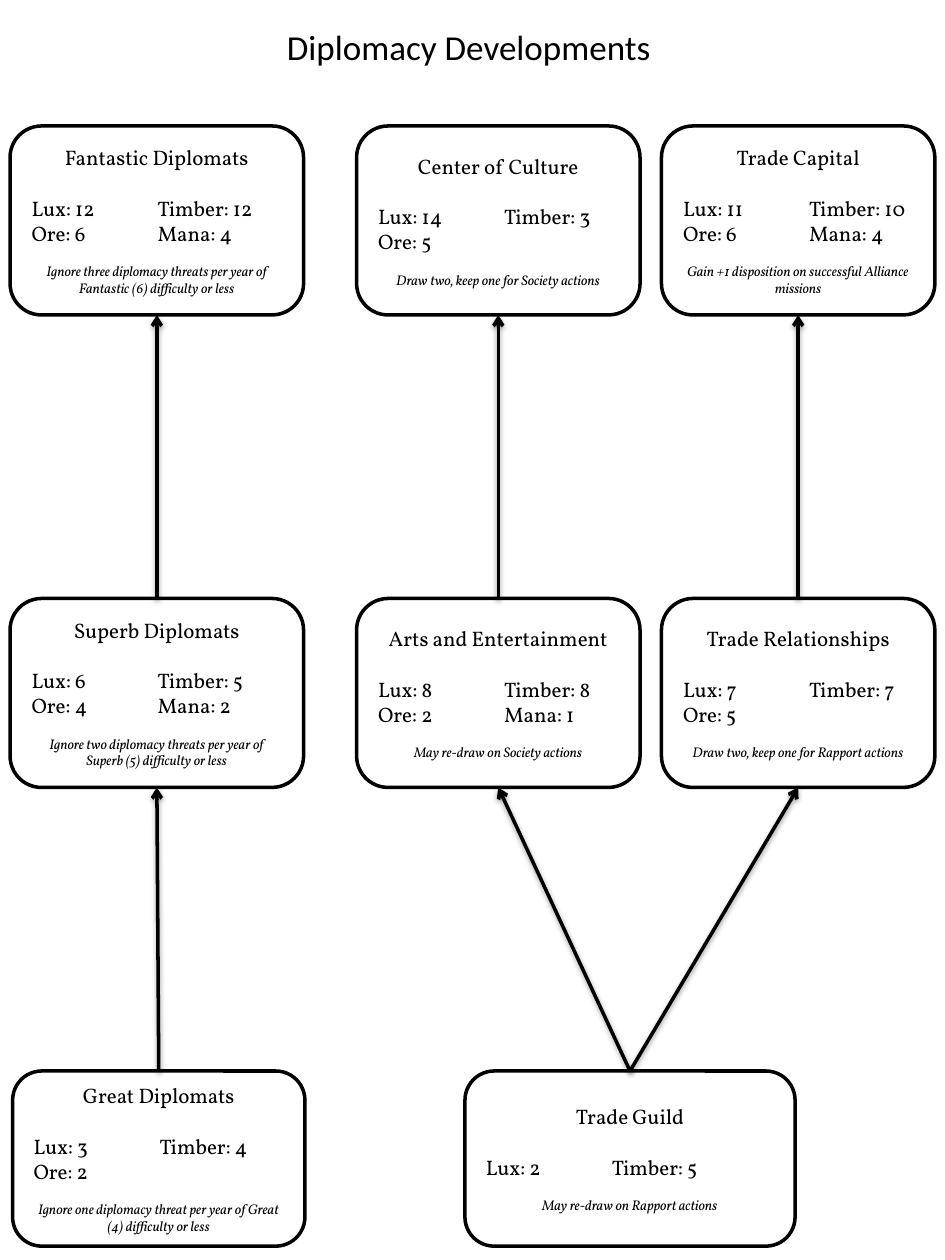
from dataclasses import dataclass

from lxml.etree import SubElement
from pptx import Presentation
from pptx.dml.color import RGBColor
from pptx.enum.shapes import MSO_CONNECTOR as Connector, MSO_SHAPE as Shape
from pptx.enum.text import MSO_ANCHOR as Anchor, MSO_AUTO_SIZE as AutoSize, PP_ALIGN as Align
from pptx.oxml.ns import qn
from pptx.util import Emu, Pt

EMU_PER_PX = 9144  # 100 px to the inch
COLORS = {"ink": "000000", "paper": "FFFFFF"}
TITLE_FONT, CARD_FONT = "Calibri", "Vollkorn"
TOP_SITE, BOTTOM_SITE = 0, 2
TOP_ROW, MIDDLE_ROW, BOTTOM_ROW = 100, 475, 850
TALL, SHORT = 150, 139


@dataclass(frozen=True)
class Development:
    name: str
    costs: tuple[str, ...]
    effect: str
    left: int
    top: int
    width: int
    height: int = TALL


DEVELOPMENTS = (
    Development("Fantastic Diplomats", ("Lux: 12\tTimber: 12", "Ore: 6\tMana: 4"),
                "Ignore three diplomacy threats per year of Fantastic (6) difficulty or less",
                8, TOP_ROW, 233),
    Development("Center of Culture", ("Lux: 14\tTimber: 3", "Ore: 5"),
                "Draw two, keep one for Society actions", 283, TOP_ROW, 225),
    Development("Trade Capital", ("Lux: 11\tTimber: 10", "Ore: 6\tMana: 4"),
                "Gain +1 disposition on successful Alliance missions", 525, TOP_ROW, 217),
    Development("Superb Diplomats", ("Lux: 6\tTimber: 5", "Ore: 4\tMana: 2"),
                "Ignore two diplomacy threats per year of Superb (5) difficulty or less",
                8, MIDDLE_ROW, 233),
    Development("Arts and Entertainment", ("Lux: 8\tTimber: 8", "Ore: 2\tMana: 1"),
                "May re-draw on Society actions", 283, MIDDLE_ROW, 225),
    Development("Trade Relationships", ("Lux: 7\tTimber: 7", "Ore: 5"),
                "Draw two, keep one for Rapport actions", 525, MIDDLE_ROW, 217),
    Development("Great Diplomats", ("Lux: 3\tTimber: 4", "Ore: 2"),
                "Ignore one diplomacy threat per year of Great (4) difficulty or less",
                10, BOTTOM_ROW, 232, SHORT),
    Development("Trade Guild", ("Lux: 2\tTimber: 5",),
                "May re-draw on Rapport actions", 369, BOTTOM_ROW, 262, SHORT),
)

UPGRADES = (
    ("Great Diplomats", "Superb Diplomats"),
    ("Superb Diplomats", "Fantastic Diplomats"),
    ("Trade Guild", "Arts and Entertainment"),
    ("Trade Guild", "Trade Relationships"),
    ("Arts and Entertainment", "Center of Culture"),
    ("Trade Relationships", "Trade Capital"),
)


def px(length: int) -> Emu:
    return Emu(length * EMU_PER_PX)


def color(name: str) -> RGBColor:
    return RGBColor.from_string(COLORS[name])


def add_span(para, text: str, font: str, size: int, italic: bool = False) -> None:
    span = para.add_run()
    span.text = text
    span.font.name = font
    span.font.size = Pt(size)
    span.font.italic = italic
    span.font.color.rgb = color("ink")


def add_tab_stop(para, position: int) -> None:
    tabs = SubElement(para._p.get_or_add_pPr(), qn("a:tabLst"))
    SubElement(tabs, qn("a:tab"), pos=str(px(position)), algn="l")


def draw_outline(line) -> None:
    line.color.rgb = color("ink")
    line.width = Pt(2)


def draw_title(page, text: str) -> None:
    title = page.shapes.title
    title.left, title.top, title.width, title.height = map(px, (11, 15, 722, 44))
    frame = title.text_frame
    frame.auto_size = AutoSize.NONE
    frame.vertical_anchor = Anchor.TOP
    para = frame.paragraphs[0]
    para.alignment = Align.CENTER
    add_span(para, text, TITLE_FONT, 20)


def draw_development(page, item: Development):
    box = page.shapes.add_shape(Shape.ROUNDED_RECTANGLE, px(item.left), px(item.top),
                                px(item.width), px(item.height))
    box.shadow.inherit = False
    box.fill.solid()
    box.fill.fore_color.rgb = color("paper")
    draw_outline(box.line)
    frame = box.text_frame
    frame.word_wrap = True
    frame.vertical_anchor = Anchor.MIDDLE

    heading = frame.paragraphs[0]
    heading.alignment = Align.CENTER
    add_span(heading, item.name, CARD_FONT, 12)
    for index, cost in enumerate(item.costs):
        para = frame.add_paragraph()
        add_tab_stop(para, 100)
        para.alignment = Align.LEFT
        para.space_before = Pt(0 if index else 14.5)
        add_span(para, cost, CARD_FONT, 12)
    effect = frame.add_paragraph()
    effect.alignment = Align.CENTER
    effect.space_before = Pt(9.7)
    add_span(effect, item.effect, CARD_FONT, 8, italic=True)
    return box


def add_soft_shadow(connector) -> None:
    effects = SubElement(connector._element.spPr, qn("a:effectLst"))
    shadow = SubElement(effects, qn("a:outerShdw"), blurRad=str(Pt(3.1)), dist=str(Pt(1.6)),
                        dir="5400000", rotWithShape="0")
    tint = SubElement(shadow, qn("a:srgbClr"), val=COLORS["ink"])
    SubElement(tint, qn("a:alpha"), val="38000")


def draw_upgrade(page, lower, upper) -> None:
    """Arrow from the top of the lower box to the bottom of the upper one."""
    arrow = page.shapes.add_connector(Connector.STRAIGHT, 0, 0, 0, 0)
    arrow.begin_connect(lower, TOP_SITE)
    arrow.end_connect(upper, BOTTOM_SITE)
    draw_outline(arrow.line)
    SubElement(arrow.line._get_or_add_ln(), qn("a:tailEnd"), type="arrow")
    add_soft_shadow(arrow)


def main() -> None:
    deck = Presentation()
    deck.slide_width, deck.slide_height = px(750), px(1000)
    page = deck.slides.add_slide(deck.slide_layouts.get_by_name("Title Only"))
    draw_title(page, "Diplomacy Developments")
    boxes = {item.name: draw_development(page, item) for item in DEVELOPMENTS}
    for lower, upper in UPGRADES:
        draw_upgrade(page, boxes[lower], boxes[upper])
    deck.save("out.pptx")


if __name__ == "__main__":
    main()
